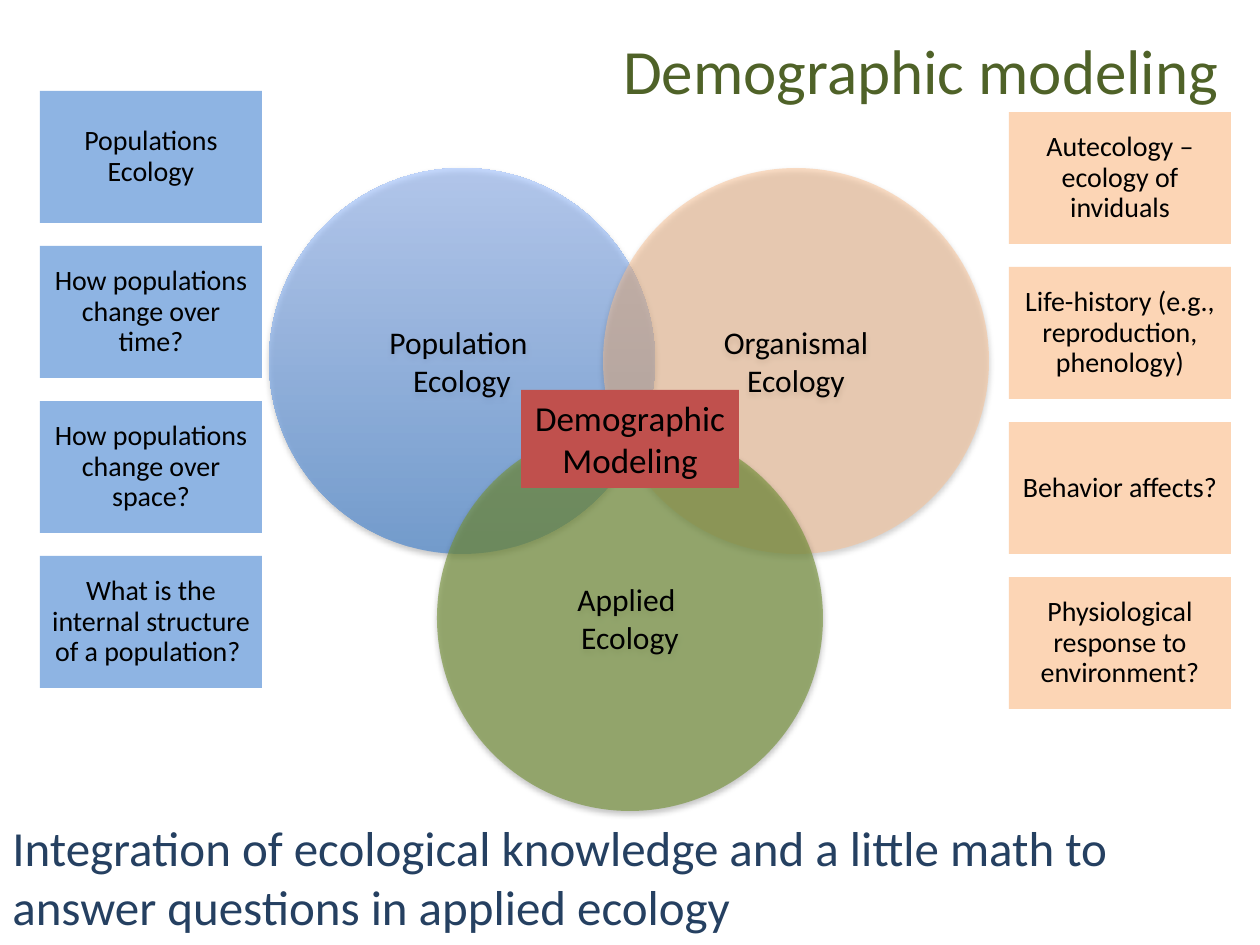
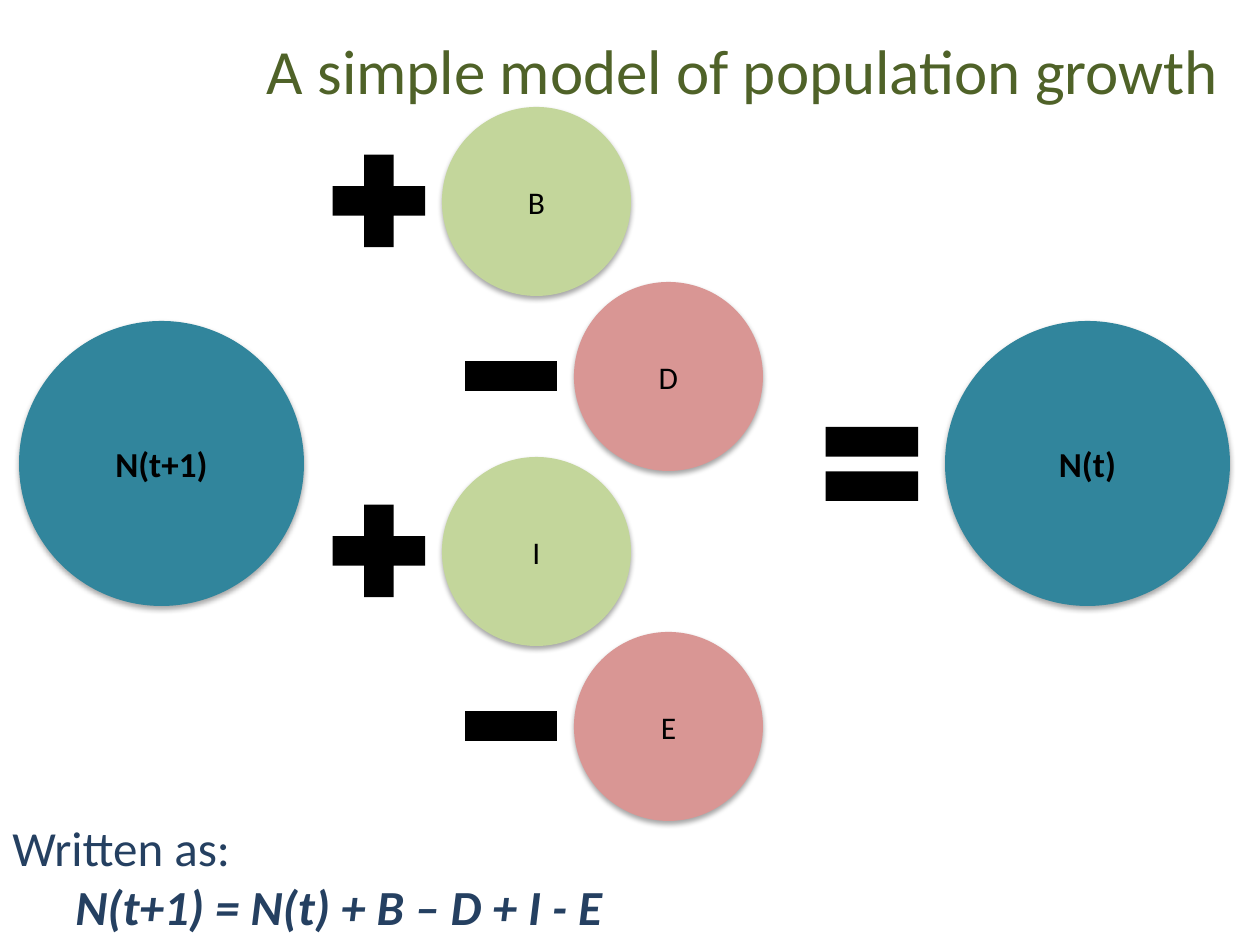
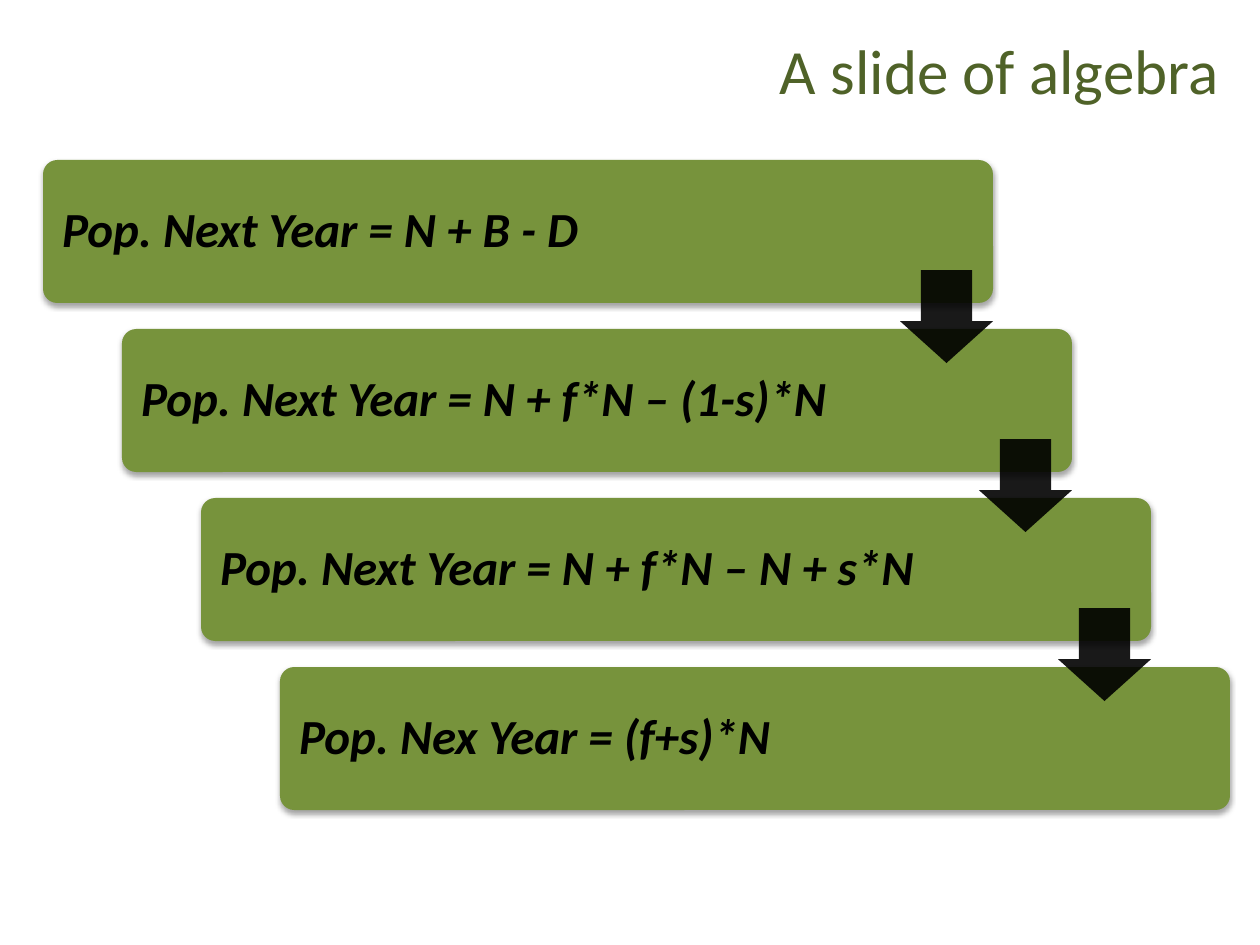
from lxml.etree import SubElement
from pptx import Presentation
from pptx.dml.color import RGBColor
from pptx.enum.shapes import MSO_SHAPE as Shape
from pptx.enum.text import MSO_ANCHOR as Anchor, MSO_AUTO_SIZE as AutoSize, PP_ALIGN as Align
from pptx.oxml.ns import qn
from pptx.util import Emu, Pt

BLACK = RGBColor(0x00, 0x00, 0x00)
TITLE_GREEN = RGBColor(0x4F, 0x62, 0x28)
NAVY = RGBColor(0x25, 0x40, 0x61)
GREEN = RGBColor(0x77, 0x93, 0x3C)
PALE_GREEN = RGBColor(0xC3, 0xD6, 0x9B)
PINK = RGBColor(0xD9, 0x96, 0x94)
RED = RGBColor(0xC0, 0x50, 0x4D)
TEAL = RGBColor(0x31, 0x85, 0x9C)
SKY = RGBColor(0x8E, 0xB4, 0xE3)
PEACH = RGBColor(0xFC, 0xD5, 0xB5)
ORANGE = RGBColor(0xFA, 0xC0, 0x90)
BLUE_DARK = RGBColor(0x3F, 0x80, 0xCE)
BLUE_LIGHT = RGBColor(0xA4, 0xC4, 0xFF)

FONT = "Calibri"
EMU_PER_PX = 914400 / 126
SLIDE_W, SLIDE_H = 1260, 945
TITLE_BOX = (37, 15, 1194, 108)
NOTE_BOX = (0, 811, 1135, 131)
NOTE_INDENT = 63
FORMULA = {"bold": True, "italic": True}

VENN_SIZE = 386
VENN = [
    (269, 168, ["Population ", "Ecology"], (BLUE_DARK, BLUE_LIGHT), 62),
    (603, 168, ["Organismal Ecology"], ORANGE, 50),
    (437, 425, ["Applied ", "Ecology"], GREEN, 65),
]
CALLOUT_BOX = (521, 390, 218, 98)
CALLOUT = ["Demographic ", "Modeling"]
CARD_W, CARD_H, CARD_STEP = 222, 132, 155
CARD_COLUMNS = [
    (40, 91, SKY, [
        "Populations Ecology",
        "How populations change over time?",
        "How populations change over space?",
        "What is the internal structure of a population? ",
    ]),
    (1009, 112, PEACH, [
        "Autecology – ecology of inviduals",
        "Life-history (e.g., reproduction, phenology)",
        "Behavior affects?",
        "Physiological response to environment?",
    ]),
]

POPULATION_SIZE, POPULATION_TOP = 285, 321
POPULATIONS = [(19, "N(t+1)"), (945, "N(t)")]
SIGN_SIZE = 126
EQUAL_AT = (809, 401)
RATE_SIZE, RATE_TOP, RATE_STEP = 189, 107, 175
GAIN = (442, PALE_GREEN, Shape.MATH_PLUS)
LOSS = (574, PINK, Shape.MATH_MINUS)
RATES = [("B", GAIN), ("D", LOSS), ("I", GAIN), ("E", LOSS)]

STEP_X, STEP_Y, STEP_W, STEP_H = 43, 160, 950, 143
STEP_DX, STEP_DY = 79, 169
ARROW_SIZE, ARROW_DROP = 93, 110
EQUATIONS = [
    "Pop. Next Year = N + B - D",
    "Pop. Next Year = N + f*N – (1-s)*N",
    "Pop. Next Year = N + f*N – N + s*N",
    "Pop. Nex Year = (f+s)*N",
]


def px(n):
    return Emu(round(n * EMU_PER_PX))


def write(sp, lines, size, color=BLACK, align=Align.CENTER, anchor=Anchor.MIDDLE,
          inset=None, spacing=None, wrap=True, **font):
    tf = sp.text_frame
    tf.word_wrap, tf.vertical_anchor = wrap, anchor
    if inset is not None:
        for side in ("left", "top", "right", "bottom"):
            setattr(tf, f"margin_{side}", px(inset))
    for i, line in enumerate(lines):
        p = tf.add_paragraph() if i else tf.paragraphs[0]
        p.alignment, p.line_spacing = align, spacing
        r = p.add_run()
        r.text = line
        r.font.color.rgb = color
        for name, value in {"name": FONT, "size": Pt(size), **font}.items():
            setattr(r.font, name, value)
    return tf


def set_alpha(clr, percent):
    SubElement(clr, qn("a:alpha"), val=str(percent * 1000))


def add_shadow(sp):
    effects = sp._element.spPr.find(qn("a:effectLst"))
    shadow = SubElement(effects, qn("a:outerShdw"), blurRad="40000", dist="23000",
                        dir="5400000", rotWithShape="0")
    set_alpha(SubElement(shadow, qn("a:srgbClr"), val=str(BLACK)), 35)


def add_shape(s, kind, box, color, alpha=None, shadow=False, adjust=()):
    sp = s.shapes.add_shape(kind, *map(px, box))
    sp.shadow.inherit = False
    sp.line.fill.background()
    for i, value in enumerate(adjust):
        sp.adjustments[i] = value
    if isinstance(color, RGBColor):
        sp.fill.solid()
        sp.fill.fore_color.rgb = color
    else:
        sp.fill.gradient()
        sp.fill.gradient_angle = 90
        for i, (stop, rgb) in enumerate(zip(sp.fill.gradient_stops, color)):
            stop.position, stop.color.rgb = i, rgb
    if alpha:
        for clr in list(sp._element.spPr.iter(qn("a:srgbClr"))):
            set_alpha(clr, alpha)
    if shadow:
        add_shadow(sp)
    return sp


def add_circle(s, x, y, size, color, alpha=None):
    return add_shape(s, Shape.OVAL, (x, y, size, size), color, alpha, shadow=True)


def add_slide(prs, title):
    s = prs.slides.add_slide(prs.slide_layouts[6])
    write(s.shapes.add_textbox(*map(px, TITLE_BOX)), [title], 36, TITLE_GREEN, Align.RIGHT)
    return s


def add_note(s, lines):
    return write(s.shapes.add_textbox(*map(px, NOTE_BOX)), lines, 28, NAVY,
                 Align.LEFT, Anchor.TOP)


def build_demographic(prs):
    s = add_slide(prs, "Demographic modeling")
    for x, y, label, color, alpha in VENN:
        write(add_circle(s, x, y, VENN_SIZE, color, alpha), label, 18)
    callout = add_shape(s, Shape.RECTANGLE, CALLOUT_BOX, RED)
    tf = write(callout, CALLOUT, 20, anchor=Anchor.TOP, wrap=False)
    tf.auto_size = AutoSize.SHAPE_TO_FIT_TEXT
    for x, top, color, cards in CARD_COLUMNS:
        for i, card in enumerate(cards):
            box = (x, top + i * CARD_STEP, CARD_W, CARD_H)
            write(add_shape(s, Shape.RECTANGLE, box, color), [card], 16, inset=9, spacing=0.9)
    add_note(s, ["Integration of ecological knowledge and a little math to "
                 "answer questions in applied ecology"])


def build_growth(prs):
    s = add_slide(prs, "A simple model of population growth")
    formula = add_note(s, ["Written as:", "N(t+1) = N(t) + B – D + I - E"]).paragraphs[1]
    formula._p.get_or_add_pPr().set("marL", str(px(NOTE_INDENT)))
    for name, value in FORMULA.items():
        setattr(formula.runs[0].font, name, value)
    for x, label in POPULATIONS:
        write(add_circle(s, x, POPULATION_TOP, POPULATION_SIZE, TEAL), [label], 20, bold=True)
    add_shape(s, Shape.MATH_EQUAL, (*EQUAL_AT, SIGN_SIZE, SIGN_SIZE), BLACK)
    for i, (label, (x, color, sign)) in enumerate(RATES):
        y = RATE_TOP + i * RATE_STEP
        write(add_circle(s, x, y, RATE_SIZE, color), [label], 18)
        sign_y = y + (RATE_SIZE - SIGN_SIZE) // 2
        add_shape(s, sign, (x - SIGN_SIZE, sign_y, SIGN_SIZE, SIGN_SIZE), BLACK)


def build_algebra(prs):
    s = add_slide(prs, "A slide of algebra")
    corners = [(STEP_X + i * STEP_DX, STEP_Y + i * STEP_DY) for i in range(len(EQUATIONS))]
    for (x, y), equation in zip(corners, EQUATIONS):
        step = add_shape(s, Shape.ROUNDED_RECTANGLE, (x, y, STEP_W, STEP_H), GREEN,
                         shadow=True, adjust=[0.1])
        write(step, [equation], 28, align=Align.LEFT, inset=15, spacing=0.9, **FORMULA)
    for x, y in corners[:-1]:
        box = (x + STEP_W - ARROW_SIZE, y + ARROW_DROP, ARROW_SIZE, ARROW_SIZE)
        arrow = add_shape(s, Shape.DOWN_ARROW, box, BLACK, alpha=90)
        arrow.adjustments[0], arrow.adjustments[1] = 0.55, 0.45


def main():
    prs = Presentation()
    prs.slide_width, prs.slide_height = px(SLIDE_W), px(SLIDE_H)
    build_demographic(prs)
    build_growth(prs)
    build_algebra(prs)
    prs.save("out.pptx")


if __name__ == "__main__":
    main()
